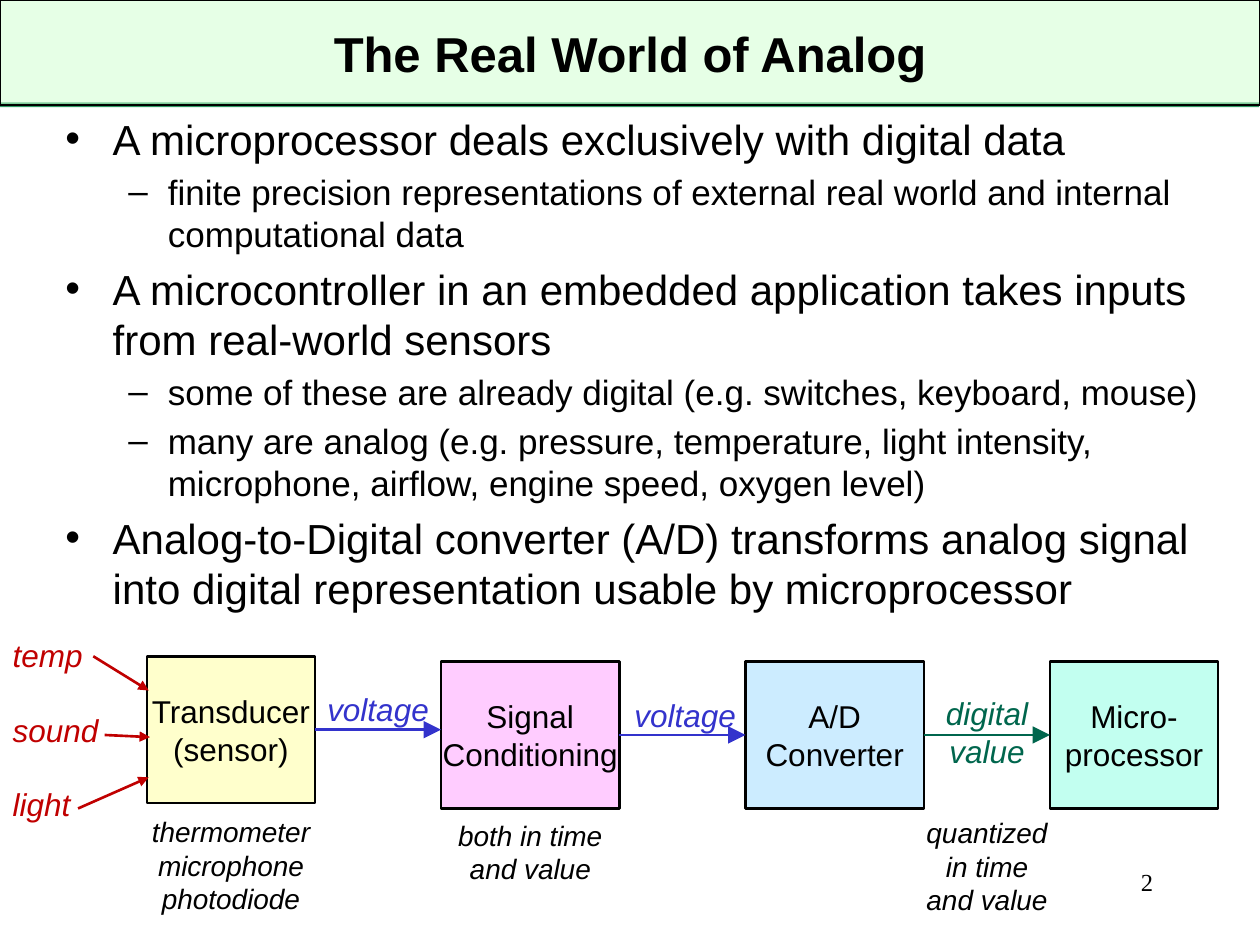
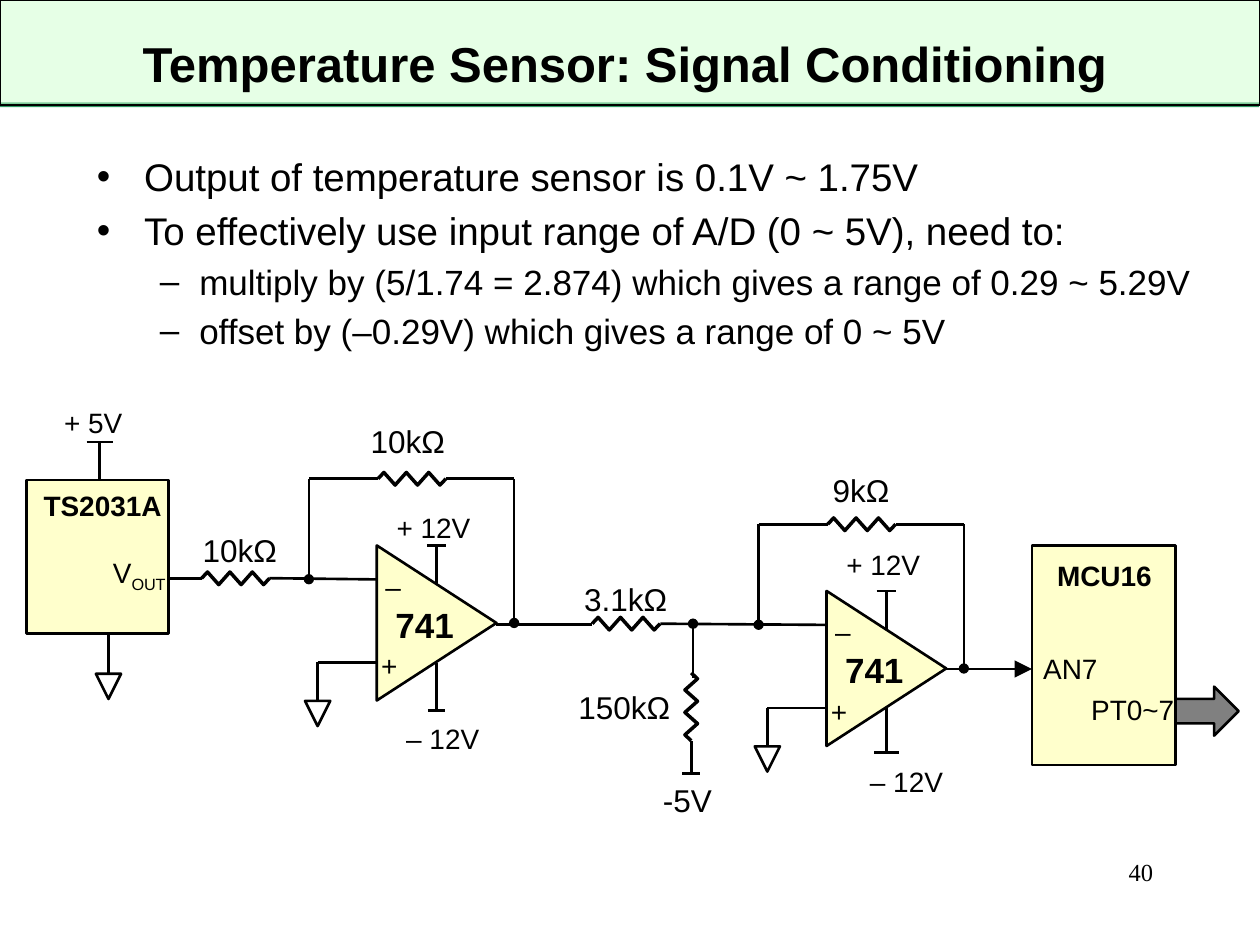
from lxml import etree
from pptx import Presentation
from pptx import util as u
from pptx.dml.color import RGBColor
from pptx.enum import shapes, text
from pptx.oxml.ns import qn

Pt = u.Pt
KIND = shapes.MSO_SHAPE
ALIGN = {"l": text.PP_ALIGN.LEFT, "c": text.PP_ALIGN.CENTER, "r": text.PP_ALIGN.RIGHT}
COLORS = {
    "black": "000000", "band": "CCFFCC", "stripe": "339966", "yellow": "FFFFCC",
    "pink": "FFCCFF", "sky": "CCECFF", "mint": "C2FFF0", "digital": "00664D",
    "voltage": "3333CC", "input": "C00000", "gray": "808080",
}
LEVELS = [("•", 27, -27), ("–", 58.5, -22.5)]


def rgb(name):
    return RGBColor.from_string(COLORS[name])


def write(sp, content, size=16, color="black", bold=False, italic=False, align="c",
          font="Arial", middle=False, sub=""):
    tf = sp.text_frame
    tf.word_wrap = True
    tf.margin_left = tf.margin_right = 0
    tf.margin_top = tf.margin_bottom = Pt(3.6)
    tf.vertical_anchor = text.MSO_ANCHOR.MIDDLE if middle else text.MSO_ANCHOR.TOP
    for i, line in enumerate(content.split("\n")):
        p = tf.paragraphs[0] if i == 0 else tf.add_paragraph()
        p.alignment = ALIGN[align]
        for part in filter(None, (line, sub)):
            r = p.add_run()
            r.text = part
            f = r.font
            f.size, f.name, f.bold, f.italic = Pt(size), font, bold, italic
            f.color.rgb = rgb(color)
            if part == sub:
                r._r.get_or_add_rPr().set("baseline", "-25000")
    return tf


def label(s, content, x, y, w, h=27, **fmt):
    return write(s.shapes.add_textbox(Pt(x), Pt(y), Pt(w), Pt(h)), content, **fmt)


def shape(s, kind, x, y, w, h, fill=None, line=1.5, rotation=0):
    sp = s.shapes.add_shape(kind, Pt(x), Pt(y), Pt(w), Pt(h))
    sp.shadow.inherit = False
    sp.rotation = rotation
    if fill:
        sp.fill.solid()
        sp.fill.fore_color.rgb = rgb(fill)
    else:
        sp.fill.background()
    if line:
        sp.line.color.rgb = rgb("black")
        sp.line.width = Pt(line)
    else:
        sp.line.fill.background()
    return sp


def wire(s, x1, y1, x2, y2, color="black", end=None, end_size="med"):
    c = s.shapes.add_connector(shapes.MSO_CONNECTOR.STRAIGHT, Pt(x1), Pt(y1), Pt(x2), Pt(y2))
    c.line.color.rgb = rgb(color)
    c.line.width = Pt(1.5)
    if end:
        etree.SubElement(c.line._get_or_add_ln(), qn("a:tailEnd"),
                         type=end, w=end_size, len=end_size)
    etree.SubElement(c._element.spPr, qn("a:effectLst"))


def bullets(s, x, y, w, h, items):
    tf = label(s, "\n".join(item[2] for item in items), x, y, w, h, align="l")
    for p, (level, size, _) in zip(tf.paragraphs, items):
        char, margin, indent = LEVELS[level]
        p.level = level
        p.space_before = Pt(size * 0.2)
        p.runs[0].font.size = Pt(size)
        pPr = p._p.get_or_add_pPr()
        pPr.set("marL", str(Pt(margin)))
        pPr.set("indent", str(Pt(indent)))
        etree.SubElement(pPr, qn("a:buFont"), typeface="Arial")
        etree.SubElement(pPr, qn("a:buChar"), char=char)


def new_slide(prs, title, title_x, title_y, number, number_y):
    s = prs.slides.add_slide(prs.slide_layouts[6])
    shape(s, KIND.RECTANGLE, 0, 58.5, 719.5, 2.7, "stripe", line=0)
    band = shape(s, KIND.RECTANGLE, 0, 0, 720, 60, "band", line=0.75)
    color = band._element.spPr.find(qn("a:solidFill"))[0]
    etree.SubElement(color, qn("a:alpha"), val="49000")
    label(s, title, title_x, title_y, 650, 48, size=28, bold=True, middle=True)
    label(s, number, 516, number_y, 143, 36, size=14, font="Times New Roman", align="r")
    return s


def block(s, name, x, y, w, fill):
    sp = shape(s, KIND.RECTANGLE, x, y, w, 84, fill)
    write(sp, name, size=18, middle=True)


def resistor(s, x, y, vertical=False):
    steps = [(0, 0)] + [(3.4 + 6.4 * i, 3.6 if i % 2 else -3.6) for i in range(6)] + [(38.8, 0)]
    points = [(Pt(x - b), Pt(y + a)) if vertical else (Pt(x + a), Pt(y + b)) for a, b in steps]
    fb = s.shapes.build_freeform(*points[0])
    fb.add_line_segments(points[1:], close=False)
    sp = fb.convert_to_shape()
    sp.shadow.inherit = False
    sp.fill.background()
    sp.line.color.rgb = rgb("black")
    sp.line.width = Pt(2)


def supply(s, x, y, cap_y, half):
    wire(s, x, y, x, cap_y)
    wire(s, x - half, cap_y, x + half, cap_y)


def ground(s, x, y):
    wire(s, x, y, x, y + 22)
    shape(s, KIND.ISOSCELES_TRIANGLE, x - 7.2, y + 22, 14.4, 14.4, rotation=180)


def amplifier(s, x, y, input_x, drop, cap, plus_at, minus_at):
    shape(s, KIND.ISOSCELES_TRIANGLE, x - 44.3, y - 34.2, 88.6, 68.4, "yellow", rotation=90)
    label(s, "+", x - 45.7, y + 11.2, 37.4)
    label(s, "–", x - 43.6, y - 34.2, 37.4)
    label(s, "741", x - 43.6, y - 14.8, 73.4, 32, size=20, bold=True)
    supply(s, x, y - 22, y - 44.3, 5.5)
    supply(s, x, y + 22.7, y + drop, cap)
    label(s, "+ 12V", x + plus_at[0], y + plus_at[1], 63.4)
    label(s, "– 12V", x + minus_at[0], y + minus_at[1], 61)
    top = y - 82.4
    wire(s, x - 73, top, x - 33.5, top)
    resistor(s, x - 33.5, top)
    wire(s, x + 5.3, top, x + 44.3, top)
    wire(s, x + 44.3, top, x + 44.3, y, end="oval")
    wire(s, x - 73, top, x - 73, y - 25, end="oval")
    wire(s, input_x, y - 25.6, x - 34.2, y - 24.9)
    wire(s, x - 68, y + 22.7, x - 33.5, y + 22.7)
    ground(s, x - 68, y + 22.5)


def analog_world(prs):
    s = new_slide(prs, "The Real World of Analog", 35, 6, "2", 492)
    bullets(s, 37.4, 61.2, 651.6, 94, [
        (0, 24, "A microprocessor deals exclusively with digital data"),
        (1, 20, "finite precision representations of external real world and internal computational data"),
        (0, 24, "A microcontroller in an embedded application takes inputs from real-world sensors"),
        (1, 20, "some of these are already digital (e.g. switches, keyboard, mouse)"),
        (1, 20, "many are analog (e.g. pressure, temperature, light intensity, microphone, airflow, engine speed, oxygen level)"),
        (0, 24, "Analog-to-Digital converter (A/D) transforms analog signal into digital representation usable by microprocessor"),
    ])
    for name, x, y, w, fill in [
        ("Transducer\n(sensor)", 84, 375, 96, "yellow"),
        ("Signal\nConditioning", 252, 378, 102, "pink"),
        ("A/D\nConverter", 426, 378, 102, "sky"),
        ("Micro-\nprocessor", 600, 378, 96, "mint"),
    ]:
        block(s, name, x, y, w, fill)
    for name, x1, x2, y, label_x, label_y, color in [
        ("voltage", 180, 252, 417, 150, 391, "voltage"),
        ("voltage", 354, 426, 420, 325.5, 394, "voltage"),
        ("digital\nvalue", 528, 600, 420, 498, 393, "digital"),
    ]:
        wire(s, x1, y, x2, y, color, "triangle", "lg")
        label(s, name, label_x, label_y, 132, 29, size=18, italic=True, color=color)
    for name, y, arrow in [
        ("temp", 360, (53.3, 375, 85, 394.6)),
        ("sound", 403, (59.8, 420, 85.7, 421.2)),
        ("light", 445, (44.6, 462, 85, 444.2)),
    ]:
        label(s, name, 7.2, y, 76, 29, size=18, italic=True, color="input", align="l")
        wire(s, *arrow, "input", "triangle")
    for note, x, y in [
        ("thermometer\nmicrophone\nphotodiode", 66, 462),
        ("both in time\nand value", 237, 464),
        ("quantized\nin time\nand value", 498, 462.5),
    ]:
        label(s, note, x, y, 132, 65, italic=True)


def signal_conditioning(prs):
    s = new_slide(prs, "Temperature Sensor: Signal Conditioning", 32, 12, "40", 486)
    bullets(s, 55.4, 84.2, 633.6, 66, [
        (0, 22, "Output of temperature sensor is 0.1V ~ 1.75V"),
        (0, 22, "To effectively use input range of A/D (0 ~ 5V), need to:"),
        (1, 20, "multiply by (5/1.74 = 2.874) which gives a range of 0.29 ~ 5.29V"),
        (1, 20, "offset by (–0.29V) which gives a range of 0 ~ 5V"),
    ])
    amplifier(s, 249.5, 356, 154, 50, 5, (-33.5, -68), (-27, 53))
    amplifier(s, 506.5, 382, 377.3, 48, 7, (-33.5, -72.4), (-19, 51.4))

    shape(s, KIND.RECTANGLE, 15, 274.3, 81.4, 87.8, "yellow")
    label(s, "TS2031A", 12.2, 275.8, 92.9, bold=True)
    label(s, "V", 33.1, 314, 92.9, sub="OUT")
    supply(s, 57, 273.6, 252.5, 7.5)
    label(s, "+ 5V", 27.4, 228.2, 51.8)
    ground(s, 62, 363)
    wire(s, 95.8, 330.5, 115.2, 330.5)
    resistor(s, 115.2, 330.5)

    wire(s, 283.7, 357, 338.4, 357)
    resistor(s, 338.4, 356.4)
    wire(s, 396, 387.4, 396, 356.4, end="oval")
    resistor(s, 395, 384.5, vertical=True)
    supply(s, 395, 423.3, 442.2, 5)
    wire(s, 540.7, 382.3, 589.7, 382.3, end="triangle", end_size="lg")

    shape(s, KIND.RECTANGLE, 589.7, 311.8, 82, 125.3, "yellow")
    label(s, "MCU16", 584.6, 315.4, 92.9, bold=True)
    label(s, "AN7", 565.2, 368.6, 92.9)
    label(s, "PT0~7", 606, 392.4, 65, align="r")
    shape(s, KIND.RIGHT_ARROW, 671.8, 392.4, 36, 28, "gray")

    for value, x, y in [
        ("10kΩ", 97, 300), ("10kΩ", 193, 237.6), ("9kΩ", 452, 265.7),
        ("3.1kΩ", 317.5, 327.6), ("150kΩ", 316.8, 389.5), ("-5V", 352.8, 442.8),
    ]:
        label(s, value, x, y, 80, 29, size=18)


def main():
    prs = Presentation()
    prs.slide_width, prs.slide_height = Pt(720), Pt(540)
    analog_world(prs)
    signal_conditioning(prs)
    prs.save("out.pptx")


if __name__ == "__main__":
    main()
